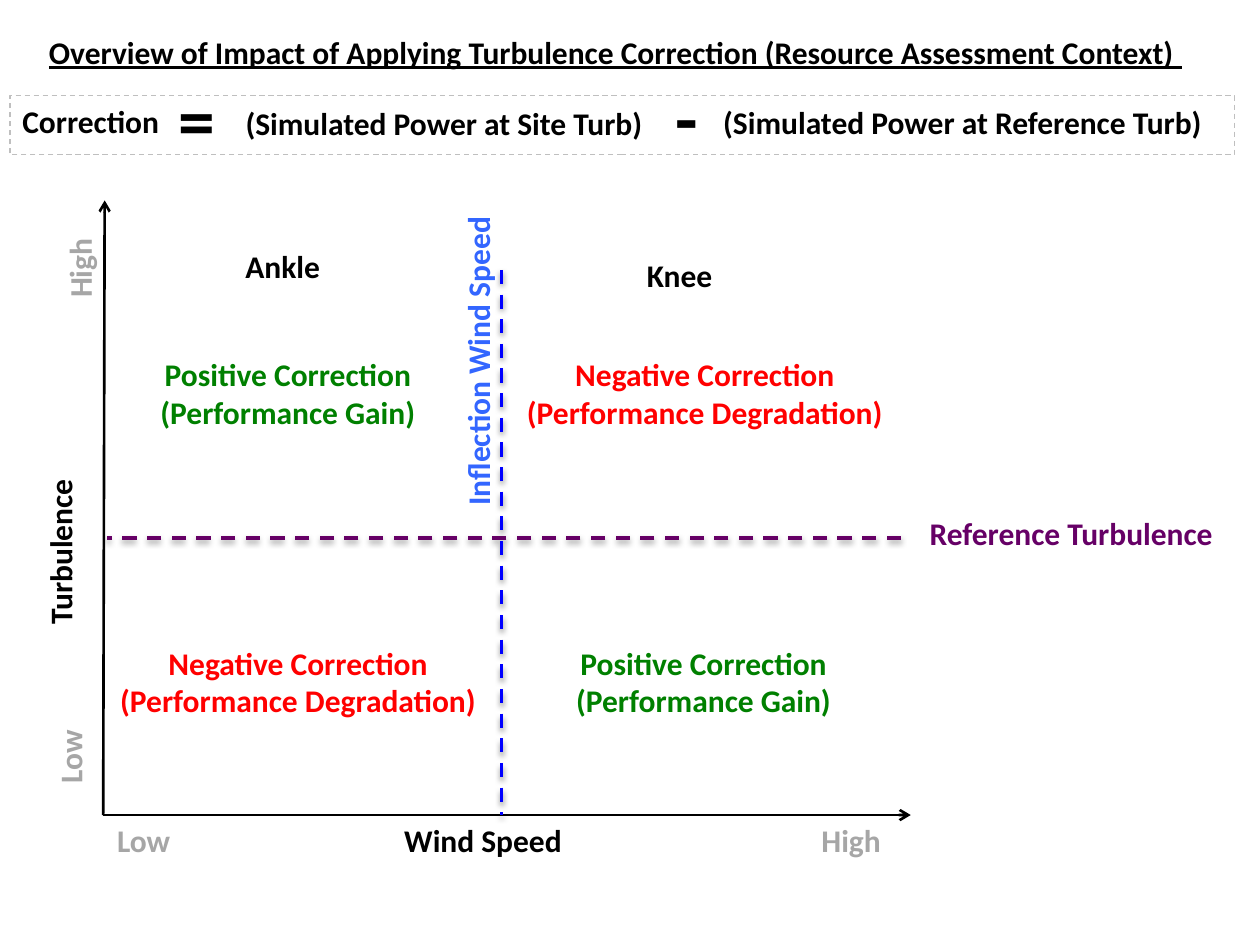
import pptx
import pptx.dml.color
import pptx.enum.dml
import pptx.enum.shapes
import pptx.enum.text
import pptx.oxml
import pptx.oxml.ns
import pptx.util

Cm = pptx.util.Cm
Pt = pptx.util.Pt
DASH = pptx.enum.dml.MSO_LINE.DASH
ALIGN = pptx.enum.text.PP_ALIGN

COLORS = {
    "text": "000000",
    "reference": "660066",
    "inflection_line": "0000FF",
    "inflection_label": "3366FF",
    "loss": "FF0000",
    "gain": "008000",
    "scale": "A6A6A6",
    "frame": "BFBFBF",
}
SHADOW = (
    '<a:outerShdw blurRad="40000" dist="20000" dir="5400000" rotWithShape="0">'
    '<a:srgbClr val="000000"><a:alpha val="38000"/></a:srgbClr></a:outerShdw>'
)


class DiagramSlide:
    """Style of the diagram and the slide it is drawn on."""

    font_name = "Calibri"
    font_size = 18
    label_height = 1.02

    def __init__(self, slide):
        self.slide = slide

    def color(self, name):
        return pptx.dml.color.RGBColor.from_string(COLORS[name])

    def add_text(self, shape, text, color, size, centered, wrap):
        frame = shape.text_frame
        frame.word_wrap = wrap
        frame.auto_size = pptx.enum.text.MSO_AUTO_SIZE.SHAPE_TO_FIT_TEXT
        frame.vertical_anchor = pptx.enum.text.MSO_ANCHOR.TOP
        paragraph = frame.paragraphs[0]
        paragraph.alignment = ALIGN.CENTER if centered else ALIGN.LEFT
        run = paragraph.add_run()
        run.text = text
        run.font.name = self.font_name
        run.font.size = Pt(size)
        run.font.bold = True
        run.font.color.rgb = self.color(color)
        return run

    def title(self, text, left, top, width):
        shape = self.slide.shapes.title
        shape.left, shape.top = Cm(left), Cm(top)
        shape.width, shape.height = Cm(width), Cm(self.label_height)
        run = self.add_text(shape, text, "text", self.font_size, True, True)
        run.font.underline = True

    def label(self, text, left, top, width, height=label_height, color="text",
              size=font_size, centered=False, wrap=False, rotation=0):
        shape = self.slide.shapes.add_textbox(Cm(left), Cm(top), Cm(width), Cm(height))
        shape.rotation = rotation
        self.add_text(shape, text, color, size, centered, wrap)

    def line(self, start, end, color="text", width=1.5, dashed=False,
             arrow=False, shadow=False):
        connector = self.slide.shapes.add_connector(
            pptx.enum.shapes.MSO_CONNECTOR.STRAIGHT,
            *(Cm(value) for value in start + end))
        connector.line.color.rgb = self.color(color)
        connector.line.width = Pt(width)
        if dashed:
            connector.line.dash_style = DASH
        namespace = pptx.oxml.ns.nsdecls("a")
        properties = connector._element.spPr
        if arrow:
            properties.find(pptx.oxml.ns.qn("a:ln")).append(pptx.oxml.parse_xml(
                f'<a:tailEnd {namespace} type="arrow"/>'))
        properties.append(pptx.oxml.parse_xml(
            f'<a:effectLst {namespace}>{SHADOW if shadow else ""}</a:effectLst>'))

    def frame(self, left, top, width, height):
        shape = self.slide.shapes.add_shape(
            pptx.enum.shapes.MSO_SHAPE.RECTANGLE,
            Cm(left), Cm(top), Cm(width), Cm(height))
        shape.shadow.inherit = False
        shape.fill.background()
        shape.line.color.rgb = self.color("frame")
        shape.line.width = Pt(0.75)
        shape.line.dash_style = DASH


def main():
    presentation = pptx.Presentation()
    presentation.slide_width, presentation.slide_height = Cm(25.4), Cm(19.05)
    slide = presentation.slides.add_slide(presentation.slide_layouts[5])
    diagram = DiagramSlide(slide)

    diagram.title("Overview of Impact of Applying Turbulence Correction "
                  "(Resource Assessment Context) ", 0.3, 0.53, 24.21)

    # Axes with their names
    origin = (2.08, 16.43)
    diagram.line(origin, (2.11, 4.04), arrow=True)
    diagram.line(origin, (18.36, 16.43), arrow=True)
    diagram.label("Wind Speed", 7.9, 16.43, 4.57, 1.3, wrap=True)
    diagram.label("Turbulence", -0.86, 10.01, 4.39, 1.27, wrap=True, rotation=270)

    # Dividing lines
    diagram.line((18.16, 10.85), (2.16, 10.85), "reference", 2, dashed=True, shadow=True)
    diagram.label("Reference Turbulence", 18.49, 10.24, 6.35, color="reference")
    diagram.line((10.11, 5.44), (10.11, 16.43), "inflection_line", 2,
                 dashed=True, shadow=True)
    diagram.label("Inflection Wind Speed", 6.43, 6.73, 6.4,
                  color="inflection_label", rotation=270)

    # Regions of the power curve
    for text, left, top in (("Ankle", 3.3, 4.85), ("Knee", 11.3, 5.03)):
        diagram.label(text, left, top, 4.8, centered=True, wrap=True)

    # Quadrants
    upper, lower = 7.04, 12.85
    quadrants = (
        ("Negative Correction (Performance Degradation)", "loss", 8.2,
         ((10.11, upper), (1.91, lower))),
        ("Positive Correction (Performance Gain)", "gain", 7.39,
         ((2.11, upper), (10.49, lower))),
    )
    for text, color, width, places in quadrants:
        for left, top in places:
            diagram.label(text, left, top, width, 1.8, color, centered=True, wrap=True)

    # Ends of the scales
    for text, left, top, width, rotation in (
        ("Low", 2.11, 16.43, 1.6, 0),
        ("High", 16.31, 16.43, 1.73, 0),
        ("High", 0.74, 4.88, 1.73, 270),
        ("Low", 0.61, 14.73, 1.6, 270),
    ):
        diagram.label(text, left, top, width, color="scale", rotation=rotation)

    # Correction formula
    for text, left, top, width in (
        ("Correction", 0.2, 1.93, 3.3),
        ("(Simulated Power at Site Turb)", 4.7, 1.98, 8.69),
        ("(Simulated Power at Reference Turb)", 14.33, 1.96, 10.36),
    ):
        diagram.label(text, left, top, width)
    for symbol, left, top in (("=", 3.35, 1.37), ("-", 13.36, 1.32)):
        diagram.label(symbol, left, top, 0.94, 2.06, size=42, centered=True, wrap=True)
    diagram.frame(0.2, 1.93, 24.69, 1.19)

    presentation.save("out.pptx")


if __name__ == "__main__":
    main()
